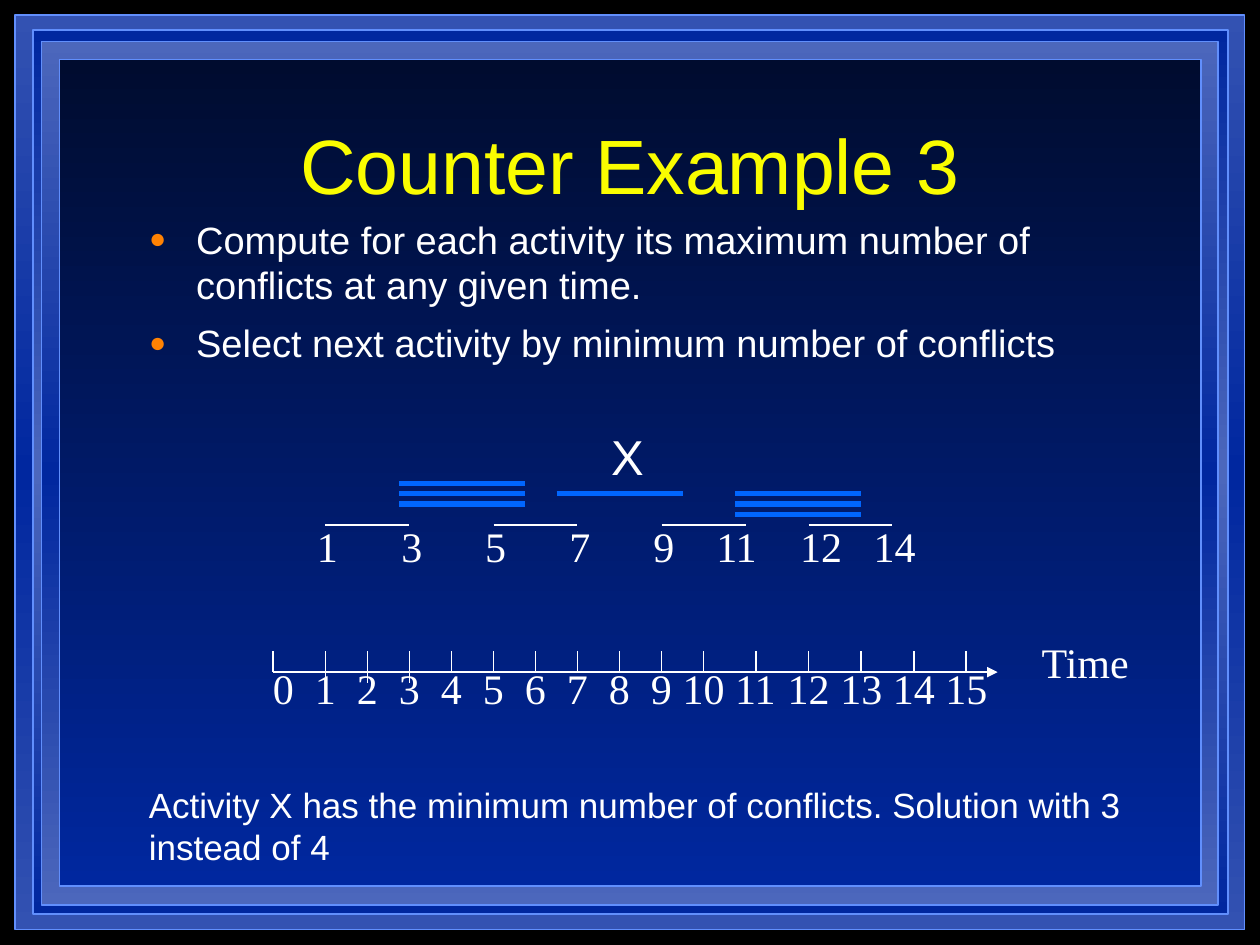
from lxml.etree import SubElement
from pptx import Presentation
from pptx.dml.color import RGBColor
from pptx.enum.shapes import MSO_CONNECTOR, MSO_SHAPE
from pptx.enum.text import MSO_ANCHOR, MSO_AUTO_SIZE, PP_ALIGN
from pptx.oxml.ns import qn
from pptx.util import Cm, Pt

color = RGBColor.from_string

presentation = Presentation()
presentation.slide_width, presentation.slide_height = Cm(25.4), Cm(19.05)
slide = presentation.slides.add_slide(presentation.slide_layouts[1])
slide.background.fill.solid()
slide.background.fill.fore_color.rgb = color("000000")


def add_line(x1, y1, x2, y2, line_color="FFFFFF", width=1):
    line = slide.shapes.add_connector(
        MSO_CONNECTOR.STRAIGHT, Cm(x1), Cm(y1), Cm(x2), Cm(y2))
    line.line.color.rgb = color(line_color)
    line.line.width = Pt(width)
    SubElement(line._element.spPr, qn("a:effectLst"))
    return line


def add_text(text, x, y, width, height, size, font="Times New Roman", tabs=()):
    box = slide.shapes.add_textbox(Cm(x), Cm(y), Cm(width), Cm(height))
    box.text_frame.word_wrap = True
    paragraph = box.text_frame.paragraphs[0]
    paragraph.text = text
    paragraph.font.size = Pt(size)
    paragraph.font.name = font
    paragraph.font.color.rgb = color("FFFFFF")
    if tabs:
        tab_list = SubElement(paragraph._p.get_or_add_pPr(), qn("a:tabLst"))
        # Tab stops come before the default run properties
        tab_list.getparent().insert(0, tab_list)
        for position in tabs:
            SubElement(tab_list, qn("a:tab"), pos=str(Cm(position)), algn="l")


# Nested frames, placed behind the text
frames = [
    (0.3, 0.3, 24.79, 18.44, ["3352B2", "00279F", "3352B2"]),
    (0.66, 0.61, 24.1, 17.81, ["00279F", "4C67BC", "00279F"]),
    (0.84, 0.84, 23.72, 17.4, ["4C67BC", "00279F", "4C67BC"]),
    (1.2, 1.2, 23.01, 16.66, ["000C2F", "00279F"]),
]
for depth, (x, y, width, height, stops) in enumerate(frames):
    frame = slide.shapes.add_shape(
        MSO_SHAPE.RECTANGLE, Cm(x), Cm(y), Cm(width), Cm(height))
    frame.shadow.inherit = False
    frame.line.color.rgb = color("618FFD")
    frame.line.width = Pt(1)
    frame.fill.gradient()
    frame.fill.gradient_angle = 270
    stop_list = frame._element.spPr.find(".//" + qn("a:gsLst"))
    stop_list.clear()
    for index, stop_color in enumerate(stops):
        position = 100000 * index // (len(stops) - 1)
        stop = SubElement(stop_list, qn("a:gs"), pos=str(position))
        SubElement(stop, qn("a:srgbClr"), val=stop_color)
    slide.shapes._spTree.insert(2 + depth, frame._element)

# Title
title = slide.shapes.title
title.left, title.top, title.width, title.height = Cm(1.9), Cm(1.7), Cm(21.6), Cm(3.18)
title.text_frame.text = "Counter Example 3"
title.text_frame.auto_size = MSO_AUTO_SIZE.NONE
title.text_frame.vertical_anchor = MSO_ANCHOR.MIDDLE
paragraph = title.text_frame.paragraphs[0]
paragraph.alignment = PP_ALIGN.CENTER
paragraph.font.size = Pt(44)
paragraph.font.name = "Arial"
paragraph.font.color.rgb = color("FAFD00")

# Bullet list
body = slide.placeholders[1]
body.left, body.top, body.width, body.height = Cm(2.75), Cm(4.23), Cm(21.17), Cm(3.39)
body.text_frame.text = (
    "Compute for each activity its maximum number of conflicts at any given time.\n"
    "Select next activity by minimum number of conflicts")
body.text_frame.auto_size = MSO_AUTO_SIZE.NONE
for paragraph in body.text_frame.paragraphs:
    paragraph.space_before = Pt(7)
    properties = paragraph._p.get_or_add_pPr()
    properties.set("marL", str(Cm(0.95)))
    properties.set("indent", str(-Cm(0.95)))
    bullet_color = SubElement(properties, qn("a:buClr"))
    SubElement(bullet_color, qn("a:srgbClr"), val="FF8203")
    SubElement(properties, qn("a:buSzPct"), val="75000")
    SubElement(properties, qn("a:buFont"), typeface="Arial")
    SubElement(properties, qn("a:buChar"), char="●")
    paragraph.font.size = Pt(21.7)
    paragraph.font.name = "Arial"
    paragraph.font.color.rgb = color("FFFFFF")

# Time axis with ticks; two-digit times are spaced wider
axis_left, axis_y = 5.5, 13.55
axis = add_line(axis_left, axis_y, 20.11, axis_y)
SubElement(axis.line._get_or_add_ln(), qn("a:tailEnd"), type="triangle")
step = (14.18 - 6.56) / 9
ticks = [axis_left] + [6.56 + step * i for i in range(9)]
ticks += [14.18 + 1.06 * i for i in range(6)]
for time, x in enumerate(ticks):
    add_line(x, 13.13, x, 13.76 if time in (1, 2, 3) else axis_y)
label_tabs = [step * i for i in range(1, 10)] + [8.26 + 1.06 * i for i in range(6)]
add_text("\t".join(str(time) for time in range(16)),
         5.25, 13.23, 15.3, 1.27, 24, tabs=label_tabs)
add_text("Time", 20.75, 12.7, 2.29, 1.27, 24)

# Activities with start and end times
activities = [(6.56, 1, 3, 2.12), (9.95, 5, 7, 2.12),
              (13.34, 9, 11, 1.69), (16.3, 12, 14, 1.9)]
for x, start, end, end_tab in activities:
    add_line(x, 10.58, x + 1.69, 10.58)
    add_text(f"\t{start}\t{end}", x - 0.84, 10.37, 3.39, 1.27, 24,
             tabs=(0.42, end_tab))

# Conflicting activities, stacked
for x, top, count in [(8.04, 9.74, 3), (11.22, 9.95, 1), (14.82, 9.95, 3)]:
    for row in range(count):
        y = top + 0.21 * row
        add_line(x, y, x + 2.54, y, "0066FF", 3)
add_text("X", 12.07, 8.47, 1.48, 1.45, 28, "Arial")

# Conclusion
add_text("Activity X has the minimum number of conflicts. Solution with 3 instead of 4",
         2.75, 15.66, 20.11, 1.96, 20, "Arial")

presentation.save("out.pptx")
